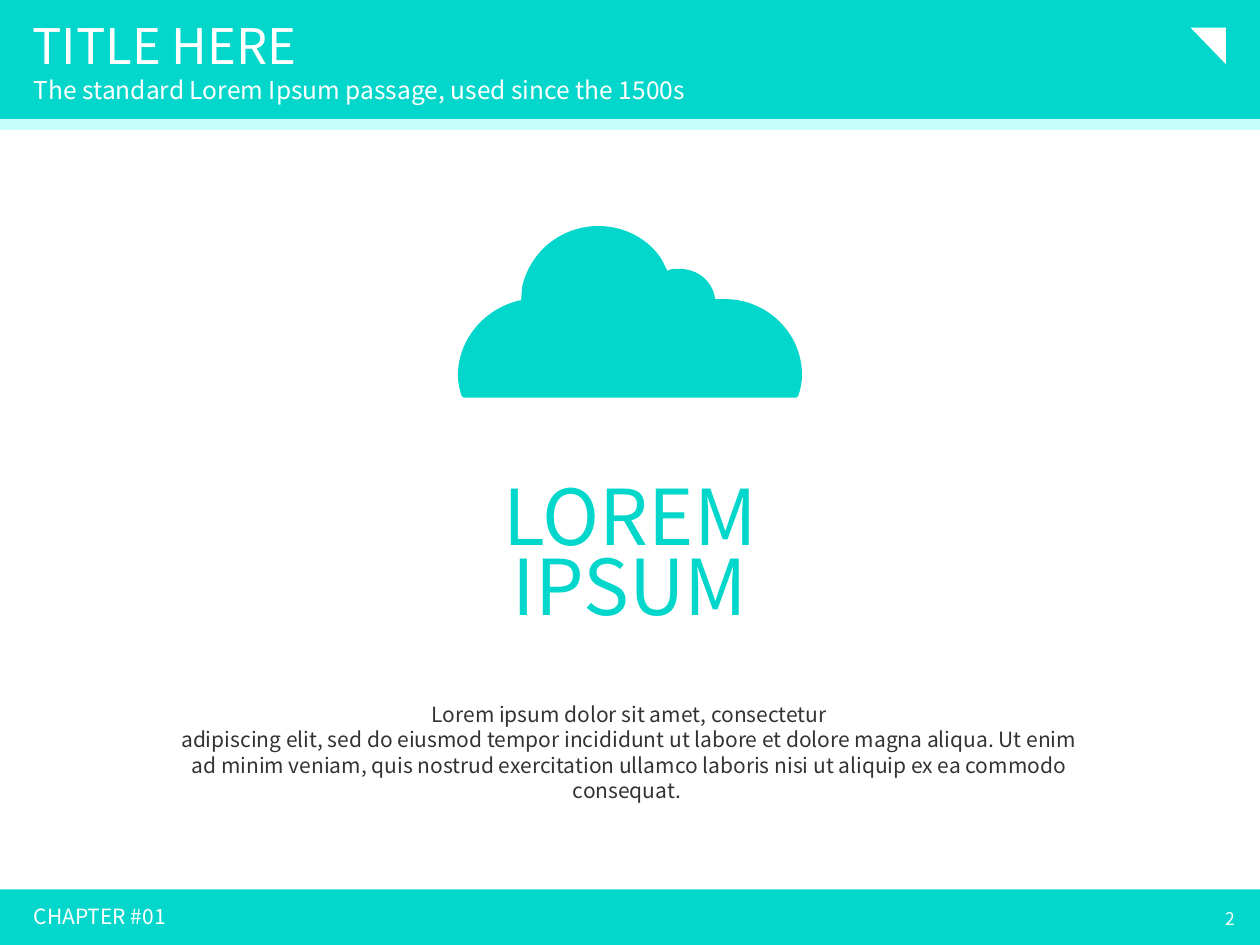
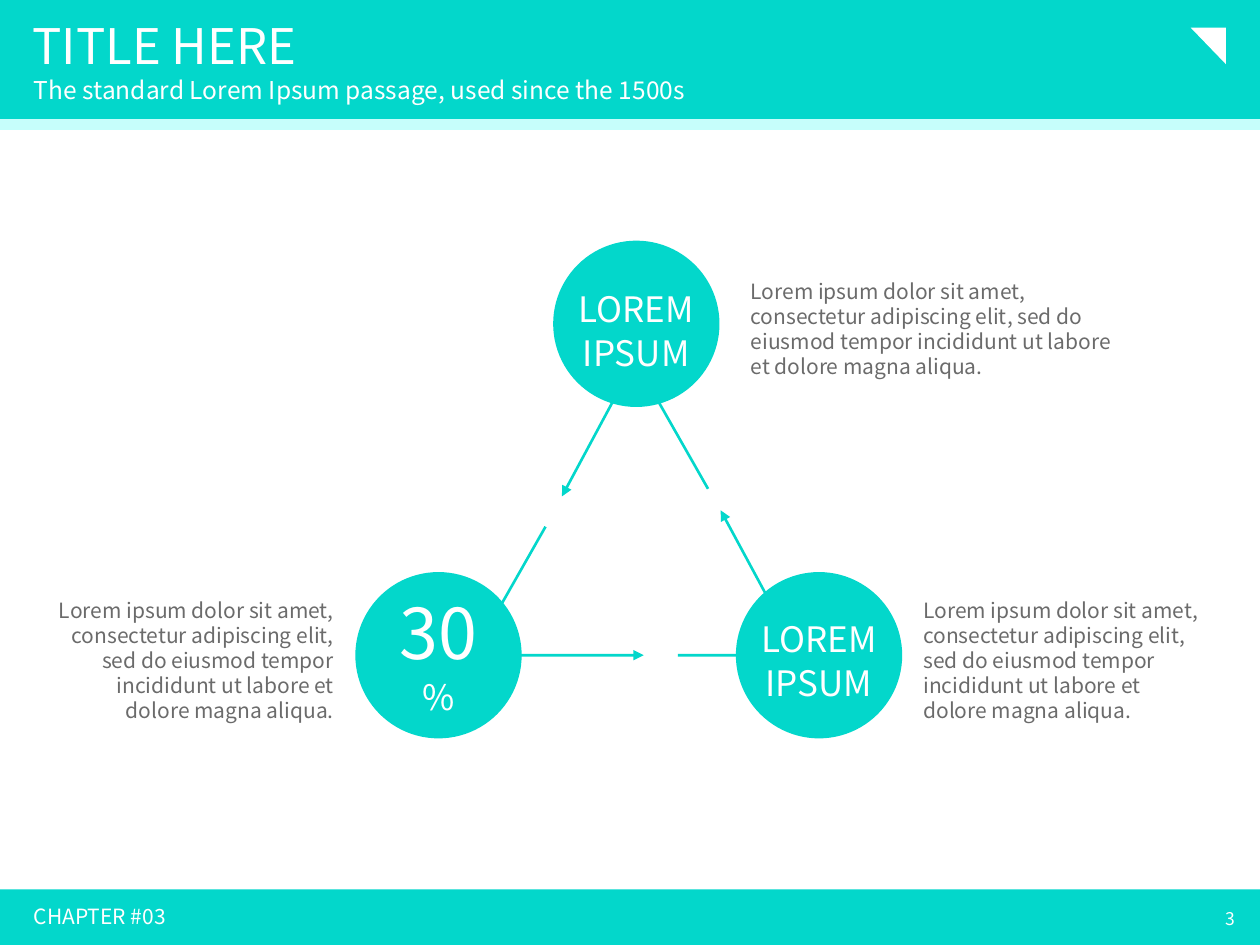
from dataclasses import dataclass

import lxml.etree
import pptx
import pptx.dml.color
import pptx.enum.shapes
import pptx.enum.text
import pptx.oxml.ns
import pptx.util

Inches = pptx.util.Inches
Pt = pptx.util.Pt
qn = pptx.oxml.ns.qn
SHAPE = pptx.enum.shapes.MSO_SHAPE
ALIGN = pptx.enum.text.PP_ALIGN
ANCHOR = pptx.enum.text.MSO_ANCHOR

FONT = "Noto Sans CJK KR"
TEAL, PALE, WHITE = "03D7CB", "C6FEFB", "FFFFFF"
DARK, GREY = "333333", "6B6B6B"
TITLE = "TITLE HERE"
SUBTITLE = "The standard Lorem Ipsum passage, used since the 1500s"
PASSAGE = (
    "Lorem ipsum dolor sit amet, consectetur adipiscing elit, sed do eiusmod "
    "tempor incididunt ut labore et dolore magna aliqua."
)
INTRO = [
    "Lorem ipsum dolor sit amet, consectetur",
    "adipiscing elit, sed do eiusmod tempor incididunt ut labore et dolore magna aliqua. Ut enim",
    "ad minim veniam, quis nostrud exercitation ullamco laboris nisi ut aliquip ex ea commodo consequat. ",
]
CLOUD_START = (4.75, 1.81)
CLOUD_SEGMENTS = [
    [(4.95, 1.81), (5.14, 1.91), (5.24, 2.07)],
    [(5.29, 2.17)],
    [(5.34, 2.15)],
    [(5.35, 2.15), (5.37, 2.15), (5.39, 2.15)],
    [(5.53, 2.15), (5.64, 2.24), (5.66, 2.37)],
    [(5.66, 2.39)],
    [(5.75, 2.39)],
    [(6.08, 2.39), (6.35, 2.65), (6.35, 2.98)],
    [(6.35, 3.03), (6.34, 3.07), (6.33, 3.11)],
    [(6.32, 3.14)],
    [(3.68, 3.14)],
    [(3.67, 3.11)],
    [(3.66, 3.07), (3.65, 3.03), (3.65, 2.98)],
    [(3.65, 2.7), (3.86, 2.46), (4.13, 2.4)],
    [(4.15, 2.4)],
    [(4.16, 2.28)],
    [(4.22, 2.01), (4.46, 1.81), (4.75, 1.81)],
]
CYCLE_ARROWS = [
    [(5.62, 3.88), (5.04, 2.86), (4.46, 3.94)],
    [(4.33, 4.18), (3.75, 5.2), (5.11, 5.2)],
    [(5.38, 5.2), (6.34, 5.2), (5.72, 4.05)],
]
CIRCLE_SIZE = 1.32
LABEL_WIDTH = 1.46


@dataclass
class Node:
    """A circle of the cycle with its label and its passage."""

    left: float
    top: float
    label: list[str]
    label_sizes: list[float]
    label_drop: float
    passage_box: tuple[float, float, float, float]
    passage_align: ALIGN = ALIGN.LEFT


NODES = [
    Node(4.39, 1.91, ["LOREM", "IPSUM"], [20, 20], 0.31, (5.86, 2.16, 3.09, 0.91)),
    Node(2.82, 4.54, ["30", "%"], [40, 20], 0.41, (0.31, 4.69, 2.44, 1.11), ALIGN.RIGHT),
    Node(5.84, 4.54, ["LOREM", "IPSUM"], [20, 20], 0.3, (7.23, 4.69, 2.44, 1.11)),
]


def rgb(value: str) -> pptx.dml.color.RGBColor:
    """Turn a hex string into a colour."""
    return pptx.dml.color.RGBColor.from_string(value)


def add_filled(s, kind: SHAPE, left: float, top: float, width: float, height: float, color: str):
    """Add a preset shape with a plain fill and no outline."""
    sp = s.shapes.add_shape(kind, Inches(left), Inches(top), Inches(width), Inches(height))
    sp.shadow.inherit = False
    sp.fill.solid()
    sp.fill.fore_color.rgb = rgb(color)
    sp.line.fill.background()
    return sp


def add_text(
    s,
    box: tuple[float, float, float, float],
    lines: list[str],
    sizes: list[float],
    color: str,
    align: ALIGN = ALIGN.LEFT,
    spacing=None,
    anchor: ANCHOR = ANCHOR.TOP,
) -> None:
    """Add a wrapped text box with one paragraph per line."""
    tf = s.shapes.add_textbox(*map(Inches, box)).text_frame
    tf.word_wrap = True
    tf.vertical_anchor = anchor
    for i, (line, size) in enumerate(zip(lines, sizes)):
        p = tf.add_paragraph() if i else tf.paragraphs[0]
        p.alignment = align
        p.line_spacing = spacing
        r = p.add_run()
        r.text = line
        r.font.name = FONT
        r.font.size = Pt(size)
        r.font.color.rgb = rgb(color)


def add_outline(s, points: list[tuple[float, float]], weight: float, close: bool):
    """Add a teal freeform through the points."""
    start, *rest = [(Inches(x), Inches(y)) for x, y in points]
    builder = s.shapes.build_freeform(*start)
    builder.add_line_segments(rest, close=close)
    sp = builder.convert_to_shape()
    sp.shadow.inherit = False
    sp.line.color.rgb = rgb(TEAL)
    sp.line.width = Pt(weight)
    return sp


def bend_segments(sp, segments: list[list[tuple[float, float]]]) -> None:
    """Merge each run of three lines that stands for a curve into one cubic curve."""
    lines = iter(list(sp._element.iter(qn("a:lnTo"))))
    for segment in segments:
        first, *others = [next(lines) for _ in segment]
        if others:
            first.tag = qn("a:cubicBezTo")
            for line in others:
                first.append(line[0])
                line.getparent().remove(line)


def add_page(prs, chapter: str, number: str):
    """Add a slide with the shared header and footer."""
    s = prs.slides.add_slide(prs.slide_layouts[6])
    add_filled(s, SHAPE.RECTANGLE, -0.01, 7.06, 10.01, 0.44, TEAL)
    add_filled(s, SHAPE.RECTANGLE, 0, 0, 10, 1.02, TEAL)
    corner = add_filled(s, SHAPE.ISOSCELES_TRIANGLE, 9.45, 0.22, 0.28, 0.29, WHITE)
    corner.adjustments[0] = 0
    corner.rotation = 180
    rule = s.shapes.add_connector(
        pptx.enum.shapes.MSO_CONNECTOR.STRAIGHT, Inches(-0.02), Inches(0.99), Inches(10), Inches(0.99)
    )
    rule.line.color.rgb = rgb(PALE)
    rule.line.width = Pt(6)
    lxml.etree.SubElement(rule._element.spPr, qn("a:effectLst"))
    add_text(s, (0.16, 0.13, 8.62, 0.41), [TITLE], [28], WHITE, spacing=0.9)
    add_text(s, (0.17, 0.57, 8.79, 0.31), [SUBTITLE], [14], WHITE, spacing=0.9)
    add_text(s, (0.17, 7.14, 3.59, 0.25), [chapter], [12], WHITE, spacing=0.9)
    add_text(s, (7.65, 7.09, 2.25, 0.4), [number], [10], WHITE, ALIGN.RIGHT, anchor=ANCHOR.MIDDLE)
    return s


def build_cloud_slide(prs) -> None:
    """Build the slide with the cloud and its heading."""
    s = add_page(prs, "CHAPTER #01", "2")
    cloud = add_outline(s, [CLOUD_START, *sum(CLOUD_SEGMENTS, [])], 2.25, close=True)
    bend_segments(cloud, CLOUD_SEGMENTS)
    cloud.fill.solid()
    cloud.fill.fore_color.rgb = rgb(TEAL)
    add_text(s, (3.66, 3.85, 2.68, 1.25), ["LOREM", "IPSUM"], [44, 44], TEAL, ALIGN.CENTER, Pt(40))
    add_text(s, (1, 5.52, 7.99, 0.71), INTRO, [12] * len(INTRO), DARK, ALIGN.CENTER)


def build_cycle_slide(prs) -> None:
    """Build the slide with three circles joined in a cycle."""
    s = add_page(prs, "CHAPTER #03", "3")
    for points in CYCLE_ARROWS:
        arrow = add_outline(s, points, 1.5, close=False)
        arrow.fill.background()
        lxml.etree.SubElement(arrow.line._get_or_add_ln(), qn("a:tailEnd"), type="triangle")
    for node in NODES:
        circle = add_filled(s, SHAPE.ROUNDED_RECTANGLE, node.left, node.top, CIRCLE_SIZE, CIRCLE_SIZE, TEAL)
        circle.adjustments[0] = 0.5
    for node in NODES:
        left = node.left - (LABEL_WIDTH - CIRCLE_SIZE) / 2
        label_box = (left, node.top + node.label_drop, LABEL_WIDTH, 0.73)
        add_text(s, label_box, node.label, node.label_sizes, WHITE, ALIGN.CENTER, Pt(25))
        add_text(s, node.passage_box, [PASSAGE], [12], GREY, node.passage_align)


def main() -> None:
    """Build and save the presentation."""
    prs = pptx.Presentation()
    prs.slide_width = Inches(10)
    prs.slide_height = Inches(7.5)
    build_cloud_slide(prs)
    build_cycle_slide(prs)
    prs.save("out.pptx")


if __name__ == "__main__":
    main()
